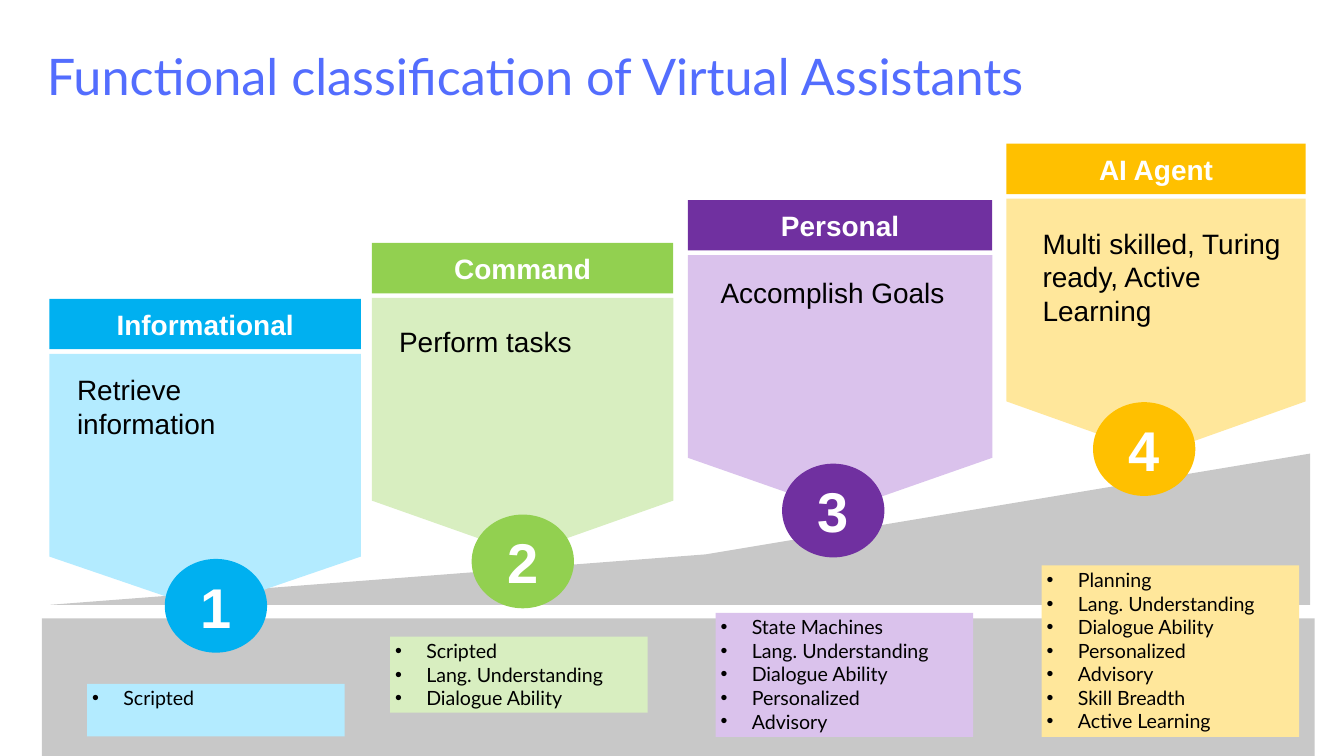
from typing import NamedTuple

from lxml import etree
from pptx import Presentation
from pptx import util as u
from pptx.dml.color import RGBColor
from pptx.enum import shapes, text
from pptx.oxml.ns import qn

# The grid has square cells, one inch each
COLS, ROWS = 26.67, 15
CELL = u.Inches(1)

WHITE = RGBColor(0xFF, 0xFF, 0xFF)
BLACK = RGBColor(0, 0, 0)
INDIGO = RGBColor(0x53, 0x6D, 0xFE)
GREY = RGBColor(0xC8, 0xC8, 0xC8)
BLUE, SKY = RGBColor(0x00, 0xB0, 0xF0), RGBColor(0xB3, 0xEB, 0xFF)
GREEN, LIME = RGBColor(0x92, 0xD0, 0x50), RGBColor(0xD8, 0xEE, 0xC0)
PURPLE, LILAC = RGBColor(0x70, 0x30, 0xA0), RGBColor(0xDA, 0xC2, 0xEC)
AMBER, CREAM = RGBColor(0xFF, 0xC0, 0x00), RGBColor(0xFF, 0xE7, 0x9B)

KIND = shapes.MSO_SHAPE
BAR, GAP, DROP = 1, 0.09, 5.08  # label height, gap below it, banner height
DISC = (2.03, 1.86)
BOX = 5.11  # width of blurbs and skill lists
INDENT = 0.62


class Stage(NamedTuple):
    name: str
    dark: RGBColor
    pale: RGBColor
    bar: tuple  # left, top, width
    disc: tuple  # left, top
    blurb: str
    note: tuple  # left, top, height
    list: tuple  # left, top, height
    skills: list


TALK = ["Lang. Understanding", "Dialogue Ability"]
GUIDE = TALK + ["Personalized", "Advisory"]
STAGES = [
    Stage("Informational", BLUE, SKY, (0.98, 5.93, 6.18), (3.27, 11.09),
          "Retrieve information", (1.43, 7.35, 1.45),
          (1.73, 13.57, 1.04), ["Scripted"]),
    Stage("Command", GREEN, LIME, (7.38, 4.82, 5.98), (9.36, 10.21),
          "Perform tasks", (7.82, 6.38, 0.77),
          (7.74, 12.63, 1.51), ["Scripted"] + TALK),
    Stage("Personal", PURPLE, LILAC, (13.65, 3.97, 6.04), (15.52, 9.2),
          "Accomplish Goals", (14.2, 5.41, 0.77),
          (14.2, 12.16, 2.46), ["State Machines"] + GUIDE),
    Stage("AI Agent", AMBER, CREAM, (19.97, 2.85, 5.94), (21.69, 7.98),
          "Multi skilled, Turing ready, Active Learning", (20.59, 4.44, 2.12),
          (20.67, 11.22, 3.4), ["Planning"] + GUIDE
          + ["Skill Breadth", "Active Learning"]),
]


class Deck:
    def __init__(self):
        self.prs = Presentation()
        self.prs.slide_width, self.prs.slide_height = self.grid(COLS, ROWS)
        self.slide = self.prs.slides.add_slide(self.prs.slide_layouts[5])

    def grid(self, *cells):
        return [round(c * CELL) for c in cells]

    def font(self, para, size, color, face="Arial", bold=False):
        font = para.font
        font.size, font.name, font.bold = u.Pt(size), face, bold
        font.color.rgb = color

    def paint(self, shape, color):
        shape.shadow.inherit = False
        shape.fill.solid()
        shape.fill.fore_color.rgb = color
        shape.line.fill.background()
        return shape

    def title(self, words, *at):
        box = self.slide.shapes.title
        box.left, box.top, box.width, box.height = self.grid(*at)
        frame = box.text_frame
        frame.text = words
        frame.vertical_anchor = text.MSO_ANCHOR.TOP
        frame.auto_size = text.MSO_AUTO_SIZE.NONE
        frame.margin_top = frame.margin_bottom = u.Inches(0.1)
        para = frame.paragraphs[0]
        para.alignment = text.PP_ALIGN.LEFT
        para.line_spacing = 1.15
        self.font(para, 72, INDIGO, "Lato")

    def block(self, kind, color, *at):
        shape = self.slide.shapes.add_shape(kind, *self.grid(*at))
        return self.paint(shape, color)

    def outline(self, color, points):
        build = self.slide.shapes.build_freeform(*points[0], scale=CELL)
        build.add_line_segments(points[1:], close=True)
        self.paint(build.convert_to_shape(), color)

    def label(self, kind, words, size, color, *at):
        frame = self.block(kind, color, *at).text_frame
        frame.text = words
        frame.vertical_anchor = text.MSO_ANCHOR.MIDDLE
        para = frame.paragraphs[0]
        para.alignment = text.PP_ALIGN.CENTER
        self.font(para, size, WHITE, bold=True)

    def banner(self, color, left, top, width):
        # Drawn pointing right, then turned about its centre to point down
        mid, half = left + width / 2, top + DROP / 2
        shape = self.block(KIND.PENTAGON, color, mid - DROP / 2,
                           half - width / 2, DROP, width)
        shape.adjustments[0] = 0.208
        shape.rotation = 90

    def note(self, words, *at):
        frame = self.slide.shapes.add_textbox(*self.grid(*at)).text_frame
        frame.word_wrap = True
        frame.text = words
        self.font(frame.paragraphs[0], 40, BLACK)

    def bullets(self, items, color, *at):
        frame = self.block(KIND.RECTANGLE, color, *at).text_frame
        frame.text = "\n".join(items)
        frame.vertical_anchor = text.MSO_ANCHOR.TOP
        for para in frame.paragraphs:
            para.alignment = text.PP_ALIGN.LEFT
            props = para._p.get_or_add_pPr()
            props.set("marL", str(u.Inches(INDENT)))
            props.set("indent", str(-u.Inches(INDENT)))
            etree.SubElement(props, qn("a:buFont"), typeface="Arial")
            etree.SubElement(props, qn("a:buChar"), char="•")
            self.font(para, 28, BLACK, "Lato")


def main():
    deck = Deck()
    deck.title("Functional classification of Virtual Assistants",
               0.83, 0.61, 22.26, 2.64)

    # Rising ground
    deck.block(KIND.RECTANGLE, GREY, 0.83, 12.27, 25.26, 2.73)
    deck.outline(GREY, [(0.87, 12.27), (13.69, 11.49), (26.13, 9.27),
                        (26.08, 12.27)])

    # Four stages: label, banner, number, blurb and skills
    for num, stage in enumerate(STAGES, 1):
        left, top, width = stage.bar
        deck.label(KIND.RECTANGLE, stage.name, 40, stage.dark,
                   left, top, width, BAR)
        deck.banner(stage.pale, left, top + BAR + GAP, width)
        deck.label(KIND.OVAL, str(num), 80, stage.dark, *stage.disc, *DISC)
        left, top, tall = stage.note
        deck.note(stage.blurb, left, top, BOX, tall)
        left, top, tall = stage.list
        deck.bullets(stage.skills, stage.pale, left, top, BOX, tall)

    deck.prs.save("out.pptx")


if __name__ == "__main__":
    main()
